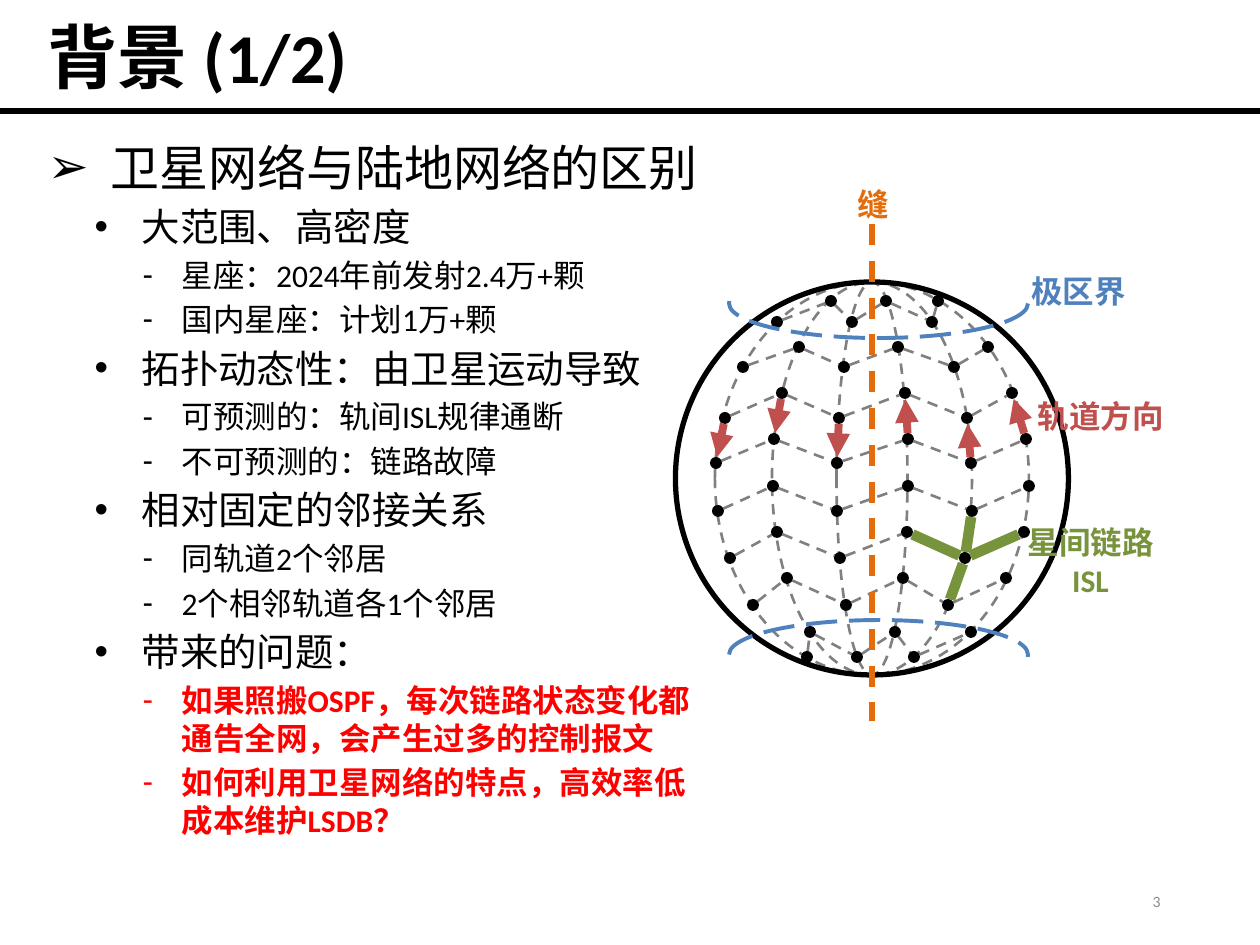
"""Build the background slide on satellite networks with its orbit diagram."""
from dataclasses import dataclass
from itertools import pairwise
from math import hypot

from pptx import Presentation
from pptx.dml.color import RGBColor
from pptx.enum.dml import MSO_LINE
from pptx.enum.shapes import MSO_CONNECTOR, MSO_SHAPE
from pptx.enum.text import MSO_ANCHOR as Anchor, MSO_AUTO_SIZE, PP_ALIGN as Align
from pptx.oxml.ns import qn
from pptx.oxml.xmlchemy import OxmlElement
from pptx.util import Emu, Pt


@dataclass(frozen=True)
class Theme:
    font: str = "Calibri"
    ink: str = "000000"
    alert: str = "FF0000"
    mesh: str = "808080"
    polar: str = "4F81BD"
    motion: str = "C0504D"
    seam: str = "E46C0A"
    isl: str = "77933C"
    muted: str = "8C8C8C"
    title: int = 40
    label: int = 18
    footer: int = 9


THEME = Theme()
TITLE = "背景 (1/2)"
PAGE_NUMBER = "3"
OUTLINE = [
    (0, "卫星网络与陆地网络的区别"),
    (1, "大范围、高密度"),
    (2, "星座：2024年前发射2.4万+颗"),
    (2, "国内星座：计划1万+颗"),
    (1, "拓扑动态性：由卫星运动导致"),
    (2, "可预测的：轨间ISL规律通断"),
    (2, "不可预测的：链路故障"),
    (1, "相对固定的邻接关系"),
    (2, "同轨道2个邻居"),
    (2, "2个相邻轨道各1个邻居"),
    (1, "带来的问题："),
    (3, "如果照搬OSPF，每次链路状态变化都通告全网，会产生过多的控制报文"),
    (3, "如何利用卫星网络的特点，高效率低成本维护LSDB？"),
]
LEVELS = [
    dict(level=0, bullet="➢", size=28, indent=63, hang=63, before=7.5, color=THEME.ink, bold=False),
    dict(level=1, bullet="•", size=22, indent=94, hang=47, before=3.8, color=THEME.ink, bold=False),
    dict(level=2, bullet="-", size=18, indent=134, hang=39, before=3.8, color=THEME.ink, bold=False),
    dict(level=2, bullet="-", size=18, indent=134, hang=39, before=3.8, color=THEME.alert, bold=True),
]
LABELS = [
    ("极区界", 1008, 266, 141, 50, THEME.polar),
    ("缝", 803, 179, 141, 50, THEME.seam),
    ("轨道方向", 1022, 391, 157, 50, THEME.motion),
    ("星间链路ISL", 1012, 517, 157, 89, THEME.isl),
]

CENTER_X, GLOBE_TOP, GLOBE = 872, 282, 393
ORBIT_WIDTHS = [71, 200, 314]
ARC_WIDTH, ARC_HEIGHT = 69, 299
ARCS = [(154, 90), (505, 270)]
DOT = 12
EVEN_ROWS = [322, 367, 418, 463, 511, 558, 605, 657]
ODD_ROWS = [301, 347, 393, 439, 486, 532, 578, 632]
ORBIT_XS = [
    [777, 743, 725, 716, 718, 730, 753, 807],
    [831, 799, 782, 774, 773, 777, 787, 810],
    [852, 844, 839, 837, 837, 840, 846, 857],
    [886, 898, 905, 908, 908, 907, 903, 895],
    [932, 954, 967, 971, 972, 965, 948, 914],
    [938, 988, 1012, 1026, 1029, 1024, 1006, 971],
]
ORBITS = [list(zip(xs, ODD_ROWS if index % 2 else EVEN_ROWS))
          for index, xs in enumerate(ORBIT_XS)]
ARROW_ROWS = [(3, 2)] * 3 + [(2, 3)] * 3
HUB = (4, 5)
NEIGHBOURS = [(4, 4), (3, 5), (4, 6), (5, 5)]


def px(value):
    return Emu(round(value * 914400 / 126))


def rgb(color):
    return RGBColor.from_string(color)


def place(shape, left, top, width, height):
    shape.left, shape.top, shape.width, shape.height = map(px, (left, top, width, height))


def style_line(line, color, weight, dash=None):
    line.color.rgb = rgb(color)
    line.width = Pt(weight)
    if dash:
        line.dash_style = dash


def style_font(font, size, color, bold=False):
    font.name, font.size, font.bold = THEME.font, Pt(size), bold
    font.color.rgb = rgb(color)


def add_line(page, start, end, color, weight, dash=None, arrow=False):
    line = page.shapes.add_connector(MSO_CONNECTOR.STRAIGHT, *map(px, (*start, *end)))
    style_line(line.line, color, weight, dash)
    if arrow:
        head = OxmlElement("a:headEnd")
        head.set("type", "triangle")
        line.line._get_or_add_ln().append(head)
    line._element.find(qn("p:spPr")).append(OxmlElement("a:effectLst"))


def add_link(page, start, end, *style, **options):
    (x1, y1), (x2, y2) = start, end
    share = DOT / 2 / hypot(x2 - x1, y2 - y1)
    dx, dy = (x2 - x1) * share, (y2 - y1) * share
    add_line(page, (x1 + dx, y1 + dy), (x2 - dx, y2 - dy), *style, **options)


def add_outline(page, kind, left, top, width, height, *style):
    shape = page.shapes.add_shape(kind, *map(px, (left, top, width, height)))
    shape.shadow.inherit = False
    shape.fill.background()
    style_line(shape.line, *style)
    return shape


def add_dot(page, x, y):
    dot = page.shapes.add_shape(MSO_SHAPE.OVAL, *map(px, (x - DOT / 2, y - DOT / 2, DOT, DOT)))
    dot.shadow.inherit = False
    dot.fill.solid()
    dot.fill.fore_color.rgb = rgb(THEME.ink)
    dot.line.fill.background()


def add_label(page, text, left, top, width, height, color, size=THEME.label, bold=True,
              align=Align.CENTER, anchor=Anchor.TOP):
    frame = page.shapes.add_textbox(*map(px, (left, top, width, height))).text_frame
    frame.word_wrap, frame.vertical_anchor = True, anchor
    para = frame.paragraphs[0]
    para.text, para.alignment = text, align
    style_font(para.font, size, color, bold)


def fill_title(title):
    place(title, 35, 0, 995, 121)
    title.text_frame.vertical_anchor = Anchor.MIDDLE
    title.text_frame.auto_size = MSO_AUTO_SIZE.NONE
    para = title.text_frame.paragraphs[0]
    para.text, para.alignment, para.line_spacing = TITLE, Align.LEFT, 0.9
    style_font(para.font, THEME.title, THEME.ink, True)


def fill_body(body):
    place(body, 35, 131, 684, 806)
    frame = body.text_frame
    frame.auto_size = MSO_AUTO_SIZE.NONE
    for index, (kind, text) in enumerate(OUTLINE):
        look = LEVELS[kind]
        para = frame.add_paragraph() if index else frame.paragraphs[0]
        para.text, para.level = text, look["level"]
        para.space_before = Pt(look["before"] if index else 0)
        properties = para._p.get_or_add_pPr()
        properties.set("marL", str(px(look["indent"])))
        properties.set("indent", str(-px(look["hang"])))
        bullet = OxmlElement("a:buChar")
        bullet.set("char", look["bullet"])
        properties.append(bullet)
        style_font(para.font, look["size"], look["color"], look["bold"])


def draw_globe(page):
    for width in ORBIT_WIDTHS:
        add_outline(page, MSO_SHAPE.OVAL, CENTER_X - width / 2, GLOBE_TOP, width, GLOBE,
                    THEME.mesh, 1.5, MSO_LINE.DASH)
    for orbit, following in pairwise(ORBITS):
        for start, end in zip(orbit, following):
            add_link(page, start, end, THEME.mesh, 1.5, MSO_LINE.DASH)
    for orbit in ORBITS:
        for x, y in orbit:
            add_dot(page, x, y)
    add_outline(page, MSO_SHAPE.OVAL, CENTER_X - GLOBE / 2, GLOBE_TOP, GLOBE, GLOBE, THEME.ink, 3)
    for top, rotation in ARCS:
        arc = add_outline(page, MSO_SHAPE.ARC, 844, top, ARC_WIDTH, ARC_HEIGHT,
                          THEME.polar, 2.25, MSO_LINE.LONG_DASH)
        arc.rotation = rotation
        arc.adjustments[0], arc.adjustments[1] = 162, 54.56
    for orbit, (tip, base) in zip(ORBITS, ARROW_ROWS):
        add_link(page, orbit[tip], orbit[base], THEME.motion, 4.5, arrow=True)
    add_line(page, (CENTER_X, 224), (CENTER_X, 721), THEME.seam, 3, MSO_LINE.DASH)
    for column, row in NEIGHBOURS:
        add_link(page, ORBITS[HUB[0]][HUB[1]], ORBITS[column][row], THEME.isl, 6)


def main():
    deck = Presentation()
    deck.slide_width, deck.slide_height = px(1260), px(945)
    page = deck.slides.add_slide(deck.slide_layouts[1])
    add_line(page, (0, 111), (1260, 111), THEME.ink, 3)
    fill_title(page.shapes.title)
    fill_body(page.placeholders[1])
    add_label(page, PAGE_NUMBER, 890, 876, 283, 50, THEME.muted, THEME.footer, False,
              Align.RIGHT, Anchor.MIDDLE)
    draw_globe(page)
    for label in LABELS:
        add_label(page, *label)
    deck.save("out.pptx")


if __name__ == "__main__":
    main()
